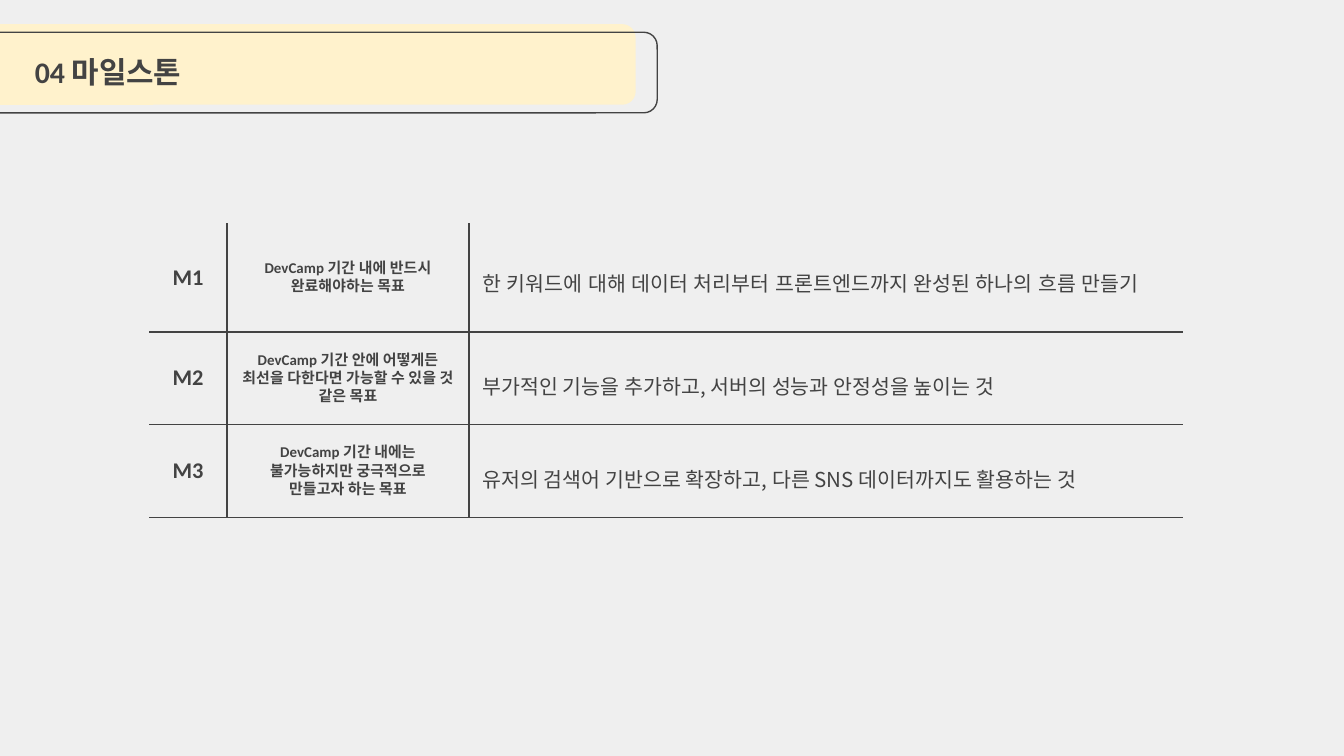
from lxml import etree
from pptx import Presentation
from pptx.dml import color
from pptx.enum import shapes, text
from pptx.oxml import ns
from pptx.util import Inches, Pt


def rgb(code):
    return color.RGBColor.from_string(code)


class Deck:
    """Holds the style and the current slide."""

    ink, cream, pale, back = "434343", "FFF2CC", "F3F3F3", "EFEFEF"
    thin = 0.75

    def __init__(self):
        self.prs = Presentation()
        self.prs.slide_width = Inches(10)
        self.prs.slide_height = Inches(10) * 9 // 16
        self.slide = self.prs.slides.add_slide(self.prs.slide_layouts[5])
        fill = self.slide.background.fill
        fill.solid()
        fill.fore_color.rgb = rgb(self.back)

    def font(self, para, size, face, bold):
        font = para.font
        font.size, font.name, font.bold = Pt(size), face, bold
        font.color.rgb = rgb(self.ink)
        props = para._p.pPr.find(ns.qn("a:defRPr"))
        for tag in ("a:ea", "a:cs"):
            etree.SubElement(props, ns.qn(tag), typeface=face)

    def band(self, left, top, fill=None):
        box = self.slide.shapes.add_shape(
            shapes.MSO_SHAPE.ROUNDED_RECTANGLE,
            Inches(left), Inches(top), Inches(5.12), Inches(0.6))
        box.shadow.inherit = False
        if fill:
            box.fill.solid()
            box.fill.fore_color.rgb = rgb(fill)
            box.line.fill.background()
        else:
            box.fill.background()
            box.line.color.rgb = rgb(self.ink)
            box.line.width = Pt(self.thin)

    def title(self, words):
        box = self.slide.shapes.title
        box.left, box.top = Inches(0.16), Inches(0.35)
        box.width, box.height = Inches(5.83), Inches(0.53)
        frame = box.text_frame
        frame.text = words
        frame.auto_size = text.MSO_AUTO_SIZE.NONE
        frame.vertical_anchor = text.MSO_ANCHOR.TOP
        para = frame.paragraphs[0]
        para.alignment = text.PP_ALIGN.LEFT
        self.font(para, 16, "Calibri", True)
        box.element.getparent().append(box.element)

    def edges(self, cell, shown):
        props = cell._tc.get_or_add_tcPr()
        for i, side in enumerate("LRTB"):
            line = etree.Element(ns.qn(f"a:ln{side}"), w=str(Pt(self.thin)))
            if side in shown:
                fill = etree.SubElement(line, ns.qn("a:solidFill"))
                etree.SubElement(fill, ns.qn("a:srgbClr"), val=self.ink)
            else:
                etree.SubElement(line, ns.qn("a:noFill"))
            props.insert(i, line)

    def cell(self, cell, words, size, face, bold):
        cell.text = words
        cell.vertical_anchor = text.MSO_ANCHOR.MIDDLE
        cell.margin_left = cell.margin_right = Inches(0.1)
        cell.margin_top = cell.margin_bottom = Inches(0.1)
        para = cell.text_frame.paragraphs[0]
        if bold:
            para.alignment = text.PP_ALIGN.CENTER
        else:
            para.line_spacing = 1.5
        self.font(para, size, face, bold)
        cell.fill.solid()
        cell.fill.fore_color.rgb = rgb(self.pale)
        tint = cell._tc.tcPr.find(".//" + ns.qn("a:srgbClr"))
        etree.SubElement(tint, ns.qn("a:alpha"), val="18000")

    def table(self, goals, wides, highs):
        table = self.slide.shapes.add_table(
            len(highs), len(wides), Inches(1.11), Inches(1.66),
            Inches(sum(wides)), Inches(sum(highs))).table
        table.first_row = table.horz_banding = False
        for col, wide in zip(table.columns, wides):
            col.width = Inches(wide)
        for row, high in zip(table.rows, highs):
            row.height = Inches(high)
        last = len(wides) - 1
        for r, (code, aim, task, face) in enumerate(goals):
            looks = [(code, 12, "Calibri", True), (aim, 8, "Calibri", True),
                     (task, 11, face, False)]
            for c, look in enumerate(looks):
                cell = table.cell(r, c)
                self.cell(cell, *look)
                shown = "B" + "L" * (c > 0) + "R" * (c < last) + "T" * (r > 0)
                self.edges(cell, shown)


def main():
    goals = [
        ("M1", "DevCamp 기간 내에 반드시 완료해야하는 목표",
         "한 키워드에 대해 데이터 처리부터 프론트엔드까지 완성된 하나의 흐름 만들기",
         "Lato"),
        ("M2", "DevCamp 기간 안에 어떻게든 최선을 다한다면 가능할 수 있을 것 같은 목표",
         "부가적인 기능을 추가하고, 서버의 성능과 안정성을 높이는 것",
         "Noto Sans CJK KR"),
        ("M3", "DevCamp 기간 내에는 불가능하지만 궁극적으로 만들고자 하는 목표",
         "유저의 검색어 기반으로 확장하고, 다른 SNS 데이터까지도 활용하는 것",
         "Noto Sans CJK KR"),
    ]
    deck = Deck()
    deck.table(goals, [0.58, 1.8, 5.31], [0.81, 0.69, 0.69])
    deck.band(-0.39, 0.18, deck.cream)
    deck.band(-0.23, 0.24)
    deck.title("04 마일스톤")
    deck.prs.save("out.pptx")


if __name__ == "__main__":
    main()
